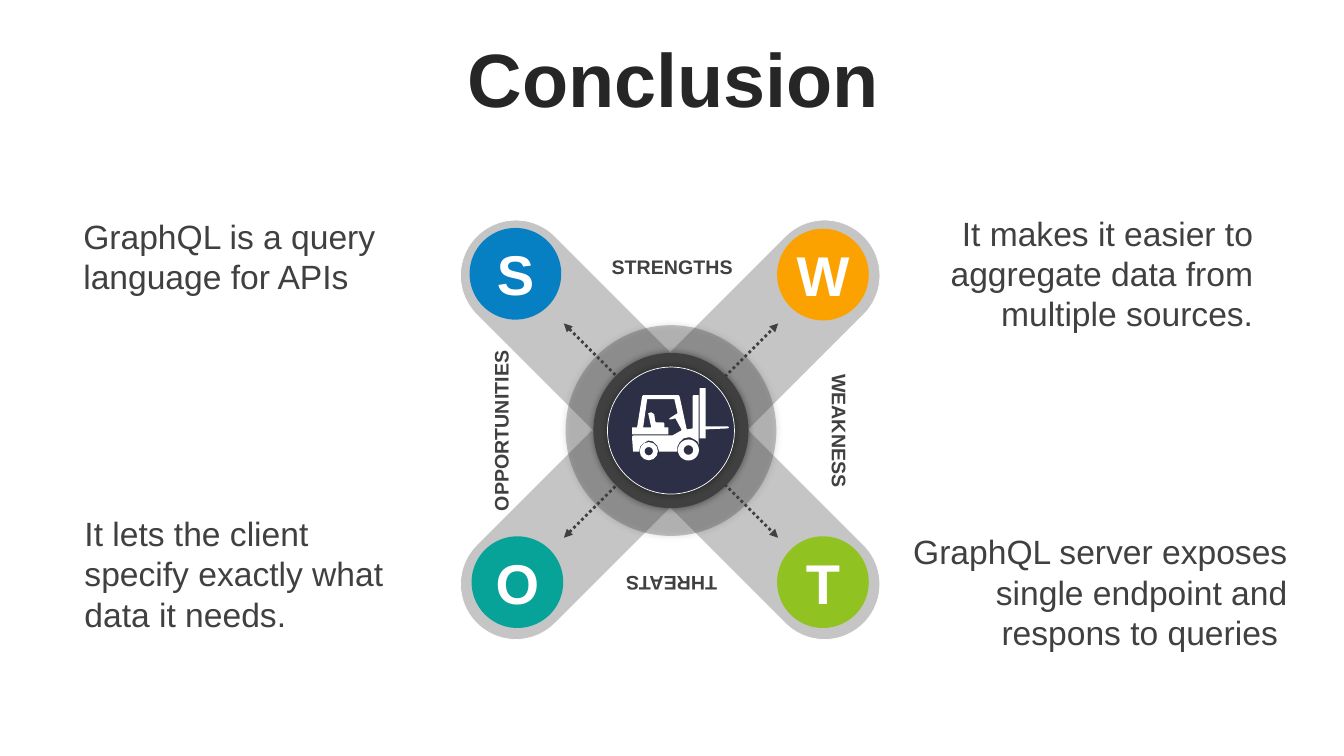
"""Build the conclusion slide: a four-armed SWOT cross with a note at each corner."""
from lxml import etree
from pptx import Presentation
from pptx import util as u
from pptx.dml.color import RGBColor
from pptx.enum import dml, shapes, text
from pptx.oxml import ns

WHITE = RGBColor(0xFF, 0xFF, 0xFF)
INK = RGBColor(0x26, 0x26, 0x26)
GREY = RGBColor(0x40, 0x40, 0x40)
NAVY = RGBColor(0x2C, 0x2F, 0x45)
BLUE = RGBColor(0x06, 0x80, 0xC3)
AMBER = RGBColor(0xFB, 0xA2, 0x00)
TEAL = RGBColor(0x07, 0xA3, 0x98)
GREEN = RGBColor(0x90, 0xC2, 0x21)

LEFT, MID, RIGHT = text.PP_ALIGN.LEFT, text.PP_ALIGN.CENTER, text.PP_ALIGN.RIGHT
OVAL = shapes.MSO_SHAPE.OVAL

TITLE = "Conclusion"
HUB = (16.91, 10.85)
LABELS = [
    ("STRENGTHS", 16.94, 6.72, 0),
    ("WEAKNESS", 21.16, 10.86, 90),
    ("OPPORTUNITIES", 12.62, 10.86, 270),
    ("THREATS", 16.92, 14.72, 180),
]
NOTES = [
    ("It lets the client specify exactly what data it needs.", (1.88, 12.8, 8.46, 1.27), LEFT),
    ("GraphQL is a query language for APIs", (1.85, 5.31, 8.46, 1.93), LEFT),
    ("GraphQL server exposes single endpoint and respons to queries ",
     (22.5, 13.26, 10.19, 2.79), RIGHT),
    ("It makes it easier to aggregate data from multiple sources.",
     (23.37, 5.23, 8.46, 1.27), RIGHT),
]
BALLS = [
    ("S", 12.99, 6.9, BLUE),
    ("W", 20.74, 6.92, AMBER),
    ("O", 13.04, 14.67, TEAL),
    ("T", 20.74, 14.67, GREEN),
]
TRUCK = (15.93, 9.78)
CAB = [
    (0, 39), (5, 39), (10, 8), (11, 7), (46, 7), (47, 8), (48, 12), (54, 40),
    (55, 41), (60, 40), (60, 8), (61, 7), (66, 7), (66, 56), (65, 53), (62, 51),
    (58, 49), (55, 49), (51, 50), (47, 54), (45, 58), (45, 63), (27, 63), (25, 57),
    (21, 53), (16, 52), (11, 55), (8, 58), (7, 63), (1, 63), (0, 50), (0, 48),
    (1, 47), (40, 47), (49, 42), (49, 41), (43, 30), (39, 31), (37, 31), (37, 30),
    (45, 25), (45, 24), (42, 11), (15, 11), (11, 39), (19, 39), (16, 25), (19, 24),
    (22, 26), (23, 33), (24, 34), (31, 34), (32, 35), (32, 39), (36, 39), (36, 46),
    (0, 46),
]
MAST = [(67, 0), (73, 0), (73, 38), (95, 38), (96, 39), (95, 40), (73, 41),
        (73, 50), (67, 50)]
WHEELS = [(17.35, 11.34, 0.53), (16.35, 11.37, 0.46)]

deck = Presentation()
deck.slide_width, deck.slide_height = u.Cm(33.87), u.Cm(19.05)
slide = deck.slides.add_slide(deck.slide_layouts[6])


def node(base, tag, **attrs):
    return etree.SubElement(base, ns.qn(tag), {k: str(v) for k, v in attrs.items()})


def boxed(x, y, w, h):
    return [u.Cm(v) for v in (x - w / 2, y - h / 2, w, h)]


def write(words, place, size=24, color=GREY, bold=False, align=LEFT, turn=0,
          anchor=text.MSO_ANCHOR.TOP):
    box = slide.shapes.add_textbox(*place)
    box.rotation = turn
    frame = box.text_frame
    frame.word_wrap = True
    frame.vertical_anchor = anchor
    para = frame.paragraphs[0]
    para.alignment = align
    run = para.add_run()
    run.text = words
    font = run.font
    font.name, font.size, font.bold = "Arial", u.Pt(size), bold
    font.color.rgb = color


def paint(shape, fill, edge=None, alpha=None, glow=False):
    shape.shadow.inherit = False
    shape.fill.solid()
    shape.fill.fore_color.rgb = fill
    if alpha:
        tint = shape.fill._xPr.find(".//" + ns.qn("a:srgbClr"))
        node(tint, "a:alpha", val=alpha * 1000)
    if edge is None:
        shape.line.fill.background()
    else:
        shape.line.color.rgb = edge
        shape.line.width = u.Pt(0.5)
    if glow:
        fx = shape._element.spPr.find(ns.qn("a:effectLst"))
        shade = node(fx, "a:outerShdw", blurRad=u.Pt(5), dist=0, dir=0)
        node(node(shade, "a:srgbClr", val="000000"), "a:alpha", val=40000)


def disc(x, y, size, fill, kind=OVAL, **look):
    shape = slide.shapes.add_shape(kind, *boxed(x, y, size, size))
    paint(shape, fill, **look)
    return shape


def arrow(rise):
    x, y = HUB
    reach = 2.7
    ends = (x - reach, y - rise * reach, x + reach, y + rise * reach)
    line = slide.shapes.add_connector(shapes.MSO_CONNECTOR.STRAIGHT, *map(u.Cm, ends))
    line.line.color.rgb = GREY
    line.line.width = u.Pt(2)
    line.line.dash_style = dml.MSO_LINE.ROUND_DOT
    rule = line.line._get_or_add_ln()
    for end in ("a:headEnd", "a:tailEnd"):
        node(rule, end, type="triangle")
    node(line._element.spPr, "a:effectLst")


def carve(points):
    pen = slide.shapes.build_freeform(*points[0], scale=u.Cm(2.54) / 100)
    pen.add_line_segments(points[1:], close=True)
    paint(pen.convert_to_shape(*map(u.Cm, TRUCK)), WHITE)


write(TITLE, [u.Cm(v) for v in (0.89, 0.94, 32.16, 2.01)], size=54, color=INK,
      bold=True, align=MID, anchor=text.MSO_ANCHOR.MIDDLE)
for words, x, y, turn in LABELS:
    write(words, boxed(x, y, 7.77, 0.84), size=14, bold=True, align=MID, turn=turn)

for turn in (45, 315):
    arm = slide.shapes.add_shape(shapes.MSO_SHAPE.ROUNDED_RECTANGLE,
                                 *boxed(16.89, 10.83, 2.79, 13.79))
    arm.adjustments[0] = 0.5
    arm.rotation = turn
    paint(arm, GREY, edge=WHITE, alpha=30)

disc(*HUB, 5.31, GREY, alpha=30, glow=True)
for rise in (1, -1):
    arrow(rise)
disc(*HUB, 3.91, GREY, glow=True)
disc(*HUB, 3.2, NAVY, edge=WHITE, glow=True)

for words, place, align in NOTES:
    write(words, [u.Cm(v) for v in place], align=align)
for mark, x, y, color in BALLS:
    disc(x, y, 2.31, color)
    write(mark, boxed(x, y, 2.29, 1.96), size=40, color=WHITE, bold=True, align=MID)

for points in (CAB, MAST):
    carve(points)
for x, y, size in WHEELS:
    disc(x, y, size, WHITE, kind=shapes.MSO_SHAPE.DONUT).adjustments[0] = 0.27

deck.save("out.pptx")
